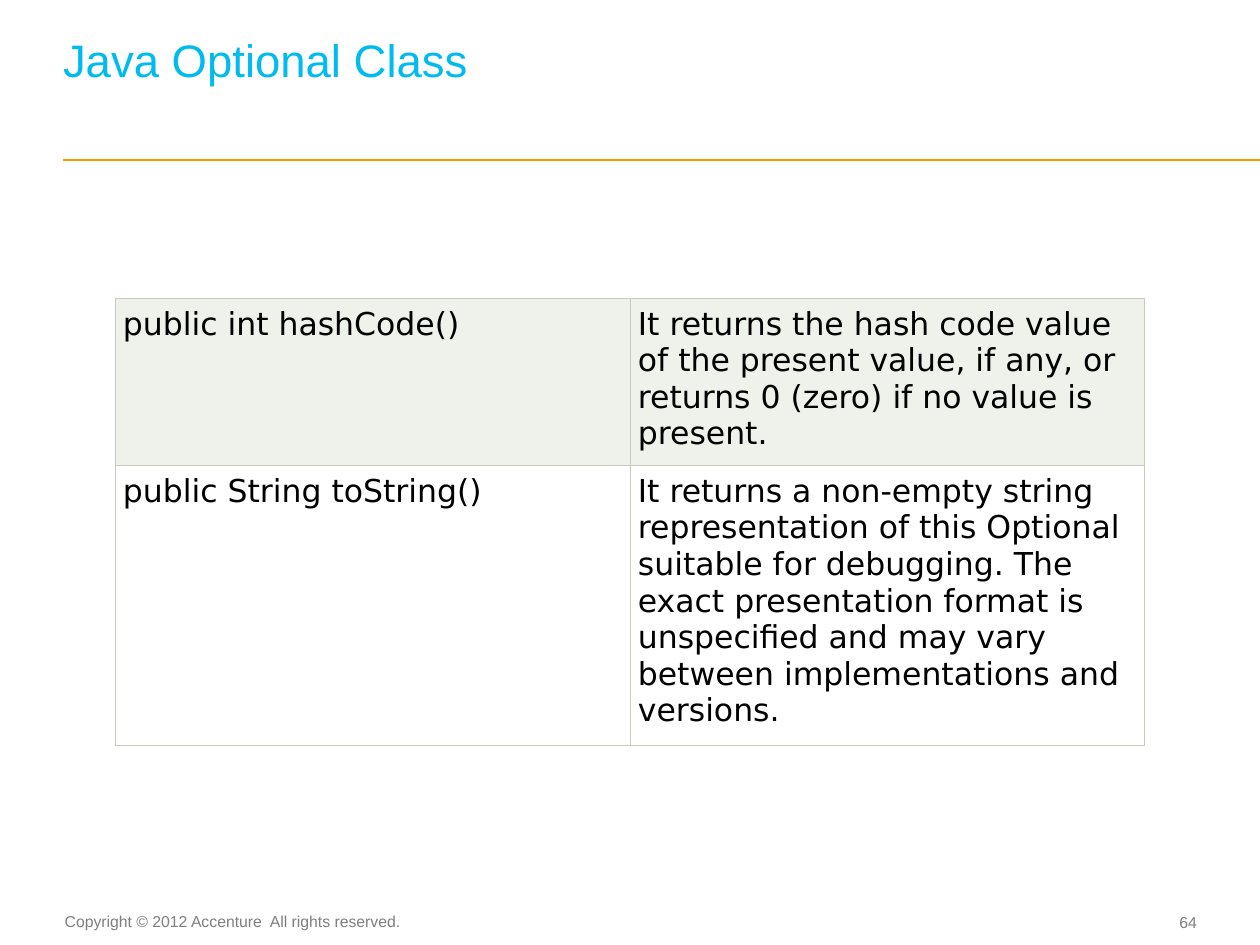
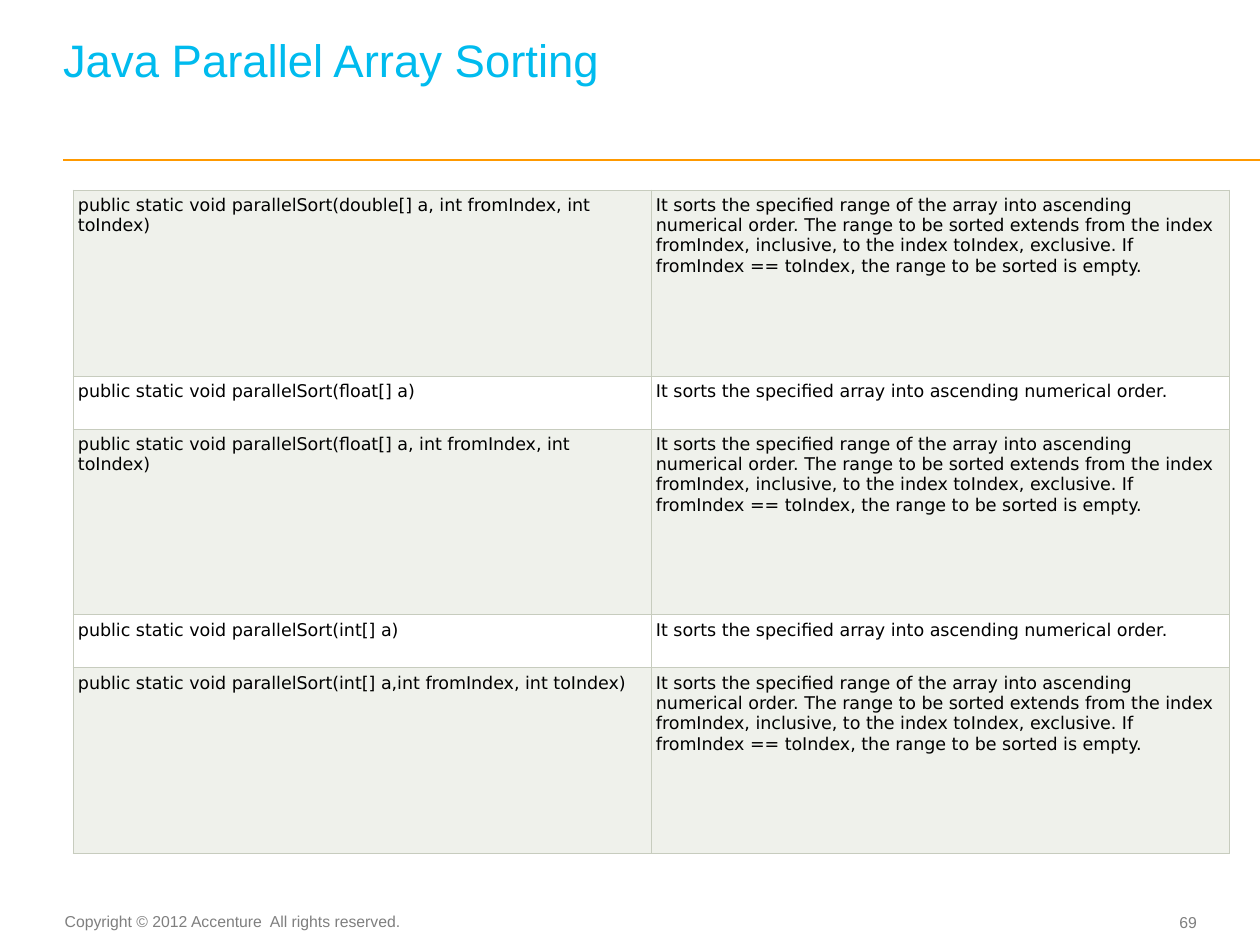
import lxml.etree
import pptx
import pptx.dml.color
import pptx.enum.shapes
import pptx.enum.text
import pptx.oxml.ns
import pptx.util

Color = pptx.dml.color.RGBColor
Anchor = pptx.enum.text.MSO_ANCHOR
Align = pptx.enum.text.PP_ALIGN
Pt = pptx.util.Pt
qn = pptx.oxml.ns.qn

# Colours
SKY = Color(0x00, 0xBB, 0xEE)
ORANGE = Color(0xFF, 0x99, 0x00)
GREY = Color(0x7F, 0x7F, 0x7F)
BLACK = Color(0x00, 0x00, 0x00)
WHITE = Color(0xFF, 0xFF, 0xFF)
SAGE = Color(0xEF, 0xF1, 0xEB)
BORDER = Color(0xC7, 0xCC, 0xBE)

# Text formats
TITLE_FONT = {"name": "Arial", "size": Pt(26)}
FOOTER_FONT = {"name": "Arial", "size": Pt(9)}
CELL_FONT = "DejaVu Sans"

PIXELS_PER_INCH = 126
COPYRIGHT = "Copyright © 2012 Accenture  All rights reserved."

# Table wording
SORT_ALL = "It sorts the specified array into ascending numerical order."
SORT_RANGE = (
    "It sorts the specified range of the array into ascending numerical order. "
    "The range to be sorted extends from the index fromIndex, inclusive, to the "
    "index toIndex, exclusive. If fromIndex == toIndex, the range to be sorted is empty."
)
OPTIONAL_METHODS = [
    ("public int hashCode()",
     "It returns the hash code value of the present value, if any, or returns 0 "
     "(zero) if no value is present."),
    ("public String toString()",
     "It returns a non-empty string representation of this Optional suitable for "
     "debugging. The exact presentation format is unspecified and may vary between "
     "implementations and versions."),
]
SORT_METHODS = [
    ("public static void parallelSort(double[] a, int fromIndex, int toIndex)", SORT_RANGE),
    ("public static void parallelSort(float[] a)", SORT_ALL),
    ("public static void parallelSort(float[] a, int fromIndex, int toIndex)", SORT_RANGE),
    ("public static void parallelSort(int[] a)", SORT_ALL),
    ("public static void parallelSort(int[] a,int fromIndex, int toIndex)", SORT_RANGE),
]


def px(length):
    return pptx.util.Emu(round(length * 914400 / PIXELS_PER_INCH))


def set_values(target, values):
    for name, value in values.items():
        setattr(target, name, value)


class Deck:
    """Holds the shared style and the current slide."""

    def __init__(self):
        self.presentation = pptx.Presentation()
        set_values(self.presentation, {"slide_width": px(1260), "slide_height": px(945)})
        self.slide = None

    def add_slide(self, title, number):
        self.slide = self.presentation.slides.add_slide(self.presentation.slide_layouts[6])
        self.rule(63, 160, 1260)
        self.text(COPYRIGHT, (62, 906, 354, 32), FOOTER_FONT, GREY,
                  {"word_wrap": False, "margin_right": px(13),
                   "margin_top": px(6), "margin_bottom": px(6)},
                  {"alignment": Align.CENTER})
        self.text(str(number), (1123, 905, 74, 34), FOOTER_FONT, GREY,
                  {"vertical_anchor": Anchor.MIDDLE}, {"alignment": Align.RIGHT})
        # The title sits one line above the bottom of its box
        self.text(title, (63, 24, 1130, 108), TITLE_FONT, SKY,
                  {"vertical_anchor": Anchor.BOTTOM, "margin_bottom": Pt(26)},
                  {"line_spacing": Pt(26)})

    def rule(self, left, top, right):
        line = self.slide.shapes.add_connector(
            pptx.enum.shapes.MSO_CONNECTOR.STRAIGHT, px(left), px(top), px(right), px(top))
        line.line.color.rgb = ORANGE
        line.line.width = Pt(1)
        properties = line._element.find(qn("p:spPr"))
        lxml.etree.SubElement(properties, qn("a:effectLst"))

    def text(self, words, box, font, color, frame_format, paragraph_format):
        frame = self.slide.shapes.add_textbox(*map(px, box)).text_frame
        margins = dict.fromkeys(
            ("margin_left", "margin_top", "margin_right", "margin_bottom"), 0)
        set_values(frame, {"word_wrap": True, **margins, **frame_format})
        paragraph = frame.paragraphs[0]
        set_values(paragraph, paragraph_format)
        self.styled_run(paragraph, words, font, color)

    def styled_run(self, paragraph, words, font, color):
        run = paragraph.add_run()
        run.text = words
        set_values(run.font, font)
        run.font.color.rgb = color

    def table(self, rows, corner, column_width, row_heights, margin, size):
        shape = self.slide.shapes.add_table(
            len(rows), 2, *map(px, corner), px(2 * column_width), px(sum(row_heights)))
        table = shape.table
        set_values(table, {"first_row": False, "horz_banding": False})
        for column in table.columns:
            column.width = px(column_width)
        for index, (row, words) in enumerate(zip(table.rows, rows)):
            row.height = px(row_heights[index])
            for cell, entry in zip(row.cells, words):
                self.border(cell)
                cell.fill.solid()
                cell.fill.fore_color.rgb = WHITE if index % 2 else SAGE
                for side in ("left", "top", "right", "bottom"):
                    setattr(cell, "margin_" + side, px(margin))
                self.styled_run(cell.text_frame.paragraphs[0], entry,
                                {"name": CELL_FONT, "size": Pt(size)}, BLACK)

    def border(self, cell):
        properties = cell._tc.get_or_add_tcPr()
        for side in ("lnL", "lnR", "lnT", "lnB"):
            line = lxml.etree.SubElement(properties, qn("a:" + side), w=str(Pt(0.6)))
            fill = lxml.etree.SubElement(line, qn("a:solidFill"))
            lxml.etree.SubElement(fill, qn("a:srgbClr"), val=str(BORDER))


def main():
    deck = Deck()

    # Optional class
    deck.add_slide("Java Optional Class", 64)
    deck.table(OPTIONAL_METHODS, (115, 298), 515, [163, 272], margin=8, size=18)

    # Parallel array sorting: range sorts get tall rows
    deck.add_slide("Java Parallel Array Sorting", 69)
    heights = [186 if effect == SORT_RANGE else 53 for _, effect in SORT_METHODS]
    deck.table(SORT_METHODS, (73, 190), 578, heights, margin=5, size=10)

    deck.presentation.save("out.pptx")


if __name__ == "__main__":
    main()
